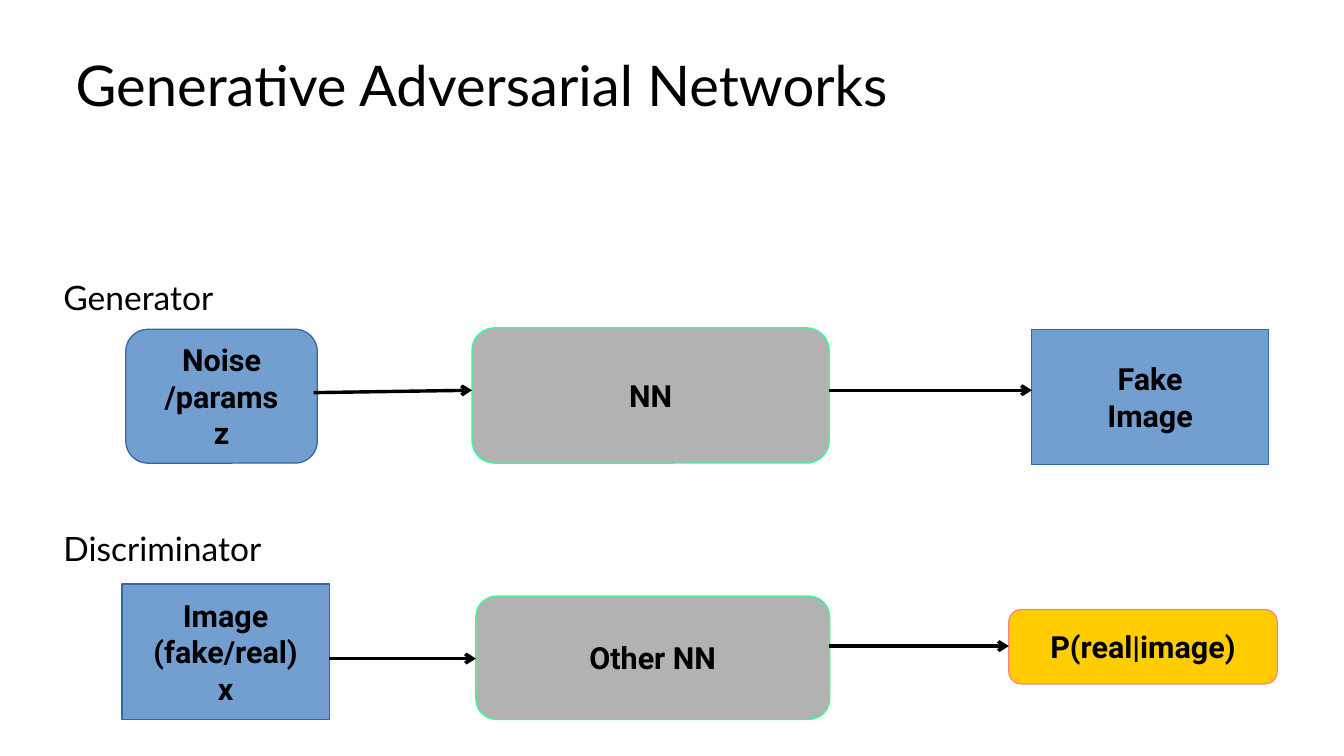
"""Build the slide on the generator and discriminator of adversarial networks."""
from dataclasses import dataclass

from pptx import Presentation, util as u
from pptx.dml.color import RGBColor
from pptx.enum import shapes, text
from pptx.oxml.ns import qn
from lxml import etree


@dataclass(frozen=True)
class Theme:
    ink: str = "000000"
    data_fill: str = "729FCF"
    data_edge: str = "3465A4"
    network_fill: str = "B2B2B2"
    network_edge: str = "33FF99"
    result_fill: str = "FFCC00"
    result_edge: str = "FF8080"
    heading_font: str = "Lato"
    block_font: str = "Roboto"
    title_size: float = 33.1
    label_size: float = 19.8
    block_size: float = 18
    hairline: float = 0


THEME = Theme()
DATA = (THEME.data_fill, THEME.data_edge)
NETWORK = (THEME.network_fill, THEME.network_edge)
RESULT = (THEME.result_fill, THEME.result_edge)


@dataclass(frozen=True)
class Block:
    words: str
    left: float
    top: float
    width: float
    height: float
    colours: tuple[str, str]
    rounded: bool = True


@dataclass(frozen=True)
class Arrow:
    start: tuple[float, float]
    end: tuple[float, float]


@dataclass(frozen=True)
class Label:
    words: str
    top: float


LABELS = [Label("Generator", 5.67), Label("Discriminator", 10.9)]
BLOCKS = [
    Block("Noise\n/params\nz", 2.62, 6.86, 3.99, 2.79, DATA),
    Block("NN", 9.83, 6.83, 7.44, 2.82, NETWORK),
    Block("Fake\nImage", 21.49, 6.86, 4.93, 2.82, DATA, rounded=False),
    Block("Image\n(fake/real)\nx", 2.54, 12.17, 4.32, 2.82, DATA, rounded=False),
    Block("Other NN", 9.91, 12.42, 7.37, 2.57, NETWORK),
    Block("P(real|image)", 21.01, 12.7, 5.59, 1.55, RESULT),
]
ARROWS = [
    Arrow((6.53, 8.18), (9.83, 8.13)),
    Arrow((17.27, 8.13), (21.49, 8.13)),
    Arrow((6.86, 13.72), (9.91, 13.72)),
    Arrow((17.27, 13.46), (21.01, 13.46)),
]


def write(frame, words: str, *, font: str, size: float, bold: bool = False,
          align=text.PP_ALIGN.LEFT, wrap: bool = True, spacing: float | None = None) -> None:
    frame.text = words
    frame.word_wrap = wrap
    frame.auto_size = text.MSO_AUTO_SIZE.NONE
    frame.vertical_anchor = text.MSO_ANCHOR.MIDDLE
    for paragraph in frame.paragraphs:
        paragraph.alignment = align
        if spacing:
            paragraph.line_spacing = u.Pt(spacing)
        paragraph.font.name = font
        paragraph.font.size = u.Pt(size)
        paragraph.font.bold = bold
        paragraph.font.color.rgb = RGBColor.from_string(THEME.ink)


def draw_title(slide, words: str) -> None:
    title = slide.shapes.title
    title.left, title.top = u.Cm(1.32), u.Cm(0.86)
    title.width, title.height = u.Cm(25.43), u.Cm(1.73)
    write(title.text_frame, words, font=THEME.heading_font,
          size=THEME.title_size, spacing=41.3)


def draw_label(slide, label: Label) -> None:
    heading = slide.shapes.add_textbox(u.Cm(1.32), u.Cm(label.top), u.Cm(22.35), u.Cm(1))
    heading.text_frame.margin_left = 0
    write(heading.text_frame, label.words, font=THEME.heading_font,
          size=THEME.label_size, spacing=24.8)


def draw_block(slide, block: Block) -> None:
    kind = shapes.MSO_SHAPE.ROUNDED_RECTANGLE if block.rounded else shapes.MSO_SHAPE.RECTANGLE
    stage = slide.shapes.add_shape(kind, u.Cm(block.left), u.Cm(block.top),
                                   u.Cm(block.width), u.Cm(block.height))
    stage.shadow.inherit = False
    fill, edge = block.colours
    stage.fill.solid()
    stage.fill.fore_color.rgb = RGBColor.from_string(fill)
    stage.line.color.rgb = RGBColor.from_string(edge)
    stage.line.width = u.Pt(THEME.hairline)
    write(stage.text_frame, block.words, font=THEME.block_font, size=THEME.block_size,
          bold=True, align=text.PP_ALIGN.CENTER, wrap=False)


def draw_arrow(slide, arrow: Arrow) -> None:
    ends = [u.Cm(value) for value in (*arrow.start, *arrow.end)]
    flow = slide.shapes.add_connector(shapes.MSO_CONNECTOR.STRAIGHT, *ends)
    flow.line.color.rgb = RGBColor.from_string(THEME.ink)
    flow.line.width = u.Pt(THEME.hairline)
    etree.SubElement(flow.line._get_or_add_ln(), qn("a:tailEnd"), type="arrow")
    etree.SubElement(flow._element.spPr, qn("a:effectLst"))


def main() -> None:
    deck = Presentation()
    deck.slide_width, deck.slide_height = u.Cm(27.99), u.Cm(15.75)
    slide = deck.slides.add_slide(deck.slide_layouts[5])
    draw_title(slide, "Generative Adversarial Networks")
    for label in LABELS:
        draw_label(slide, label)
    for block in BLOCKS:
        draw_block(slide, block)
    for arrow in ARROWS:
        draw_arrow(slide, arrow)
    deck.save("out.pptx")


if __name__ == "__main__":
    main()
